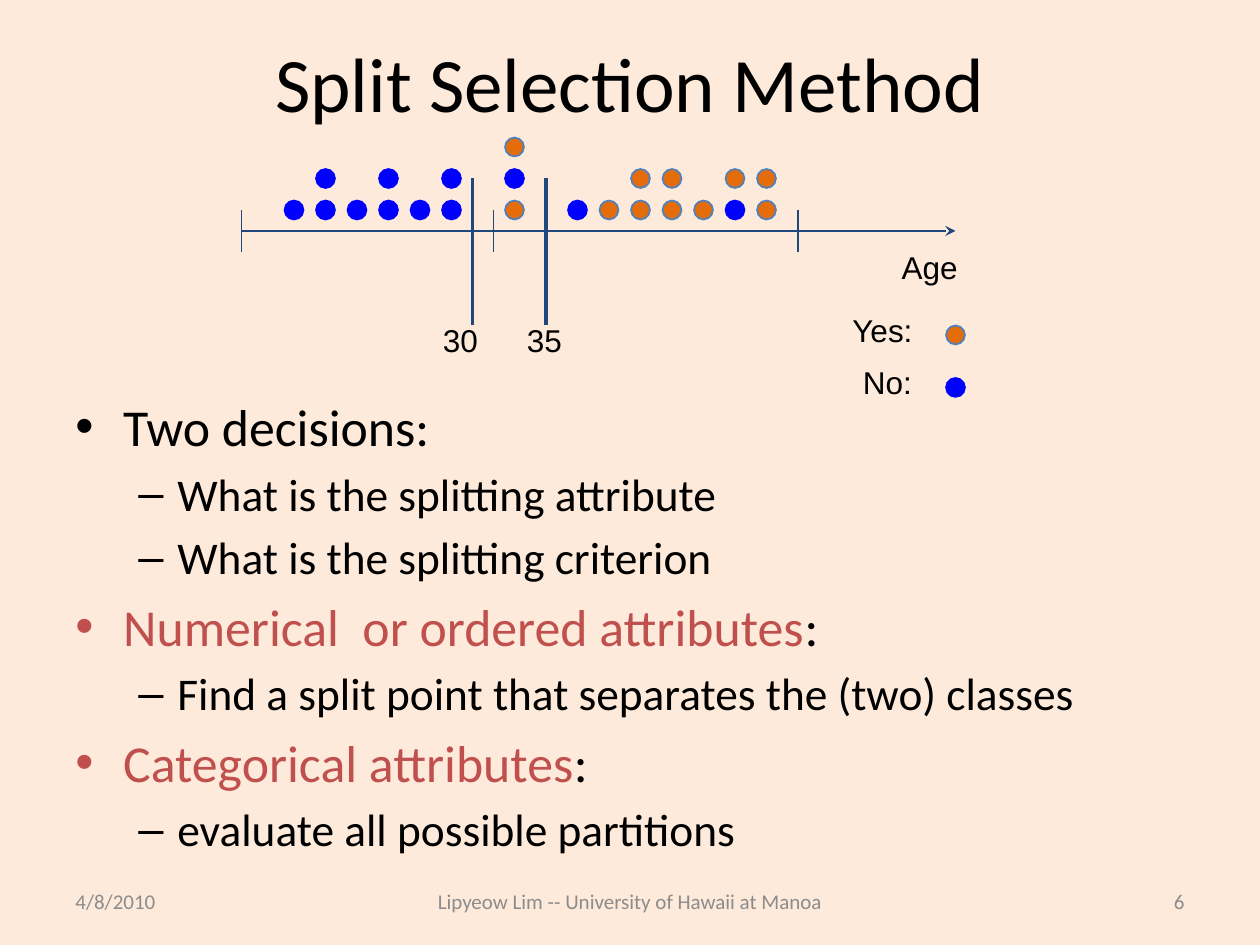
from dataclasses import dataclass

from lxml import etree
from pptx import Presentation
from pptx import util as u
from pptx.dml.color import RGBColor
from pptx.enum import shapes, text
from pptx.oxml import ns

COLUMNS, ROWS = 120, 90
LEFT, CENTER, RIGHT = text.PP_ALIGN.LEFT, text.PP_ALIGN.CENTER, text.PP_ALIGN.RIGHT


@dataclass(frozen=True)
class Theme:
    background: str = "FDEADA"
    ink: str = "000000"
    accent: str = "C0504D"
    muted: str = "8C8C8C"
    axis: str = "1F497D"
    yes_fill: str = "E46C0A"
    yes_line: str = "4F81BD"
    no: str = "0000FF"
    body_font: str = "Calibri"
    label_font: str = "Arial"
    title_size: float = 44
    topic_size: float = 29.6
    detail_size: float = 25.9
    label_size: float = 18
    footer_size: float = 12
    space_share: float = 0.2


def write_text(paragraph, content, font, size, color, align=LEFT):
    paragraph.alignment = align
    run = paragraph.add_run()
    run.text = content
    run.font.name = font
    run.font.size = u.Pt(size)
    run.font.color.rgb = RGBColor.from_string(color)


def set_bullet(paragraph, character, color, margin, indent):
    properties = paragraph._p.get_or_add_pPr()
    properties.set("marL", str(u.Inches(margin)))
    properties.set("indent", str(u.Inches(-indent)))
    bullet_color = etree.SubElement(properties, ns.qn("a:buClr"))
    etree.SubElement(bullet_color, ns.qn("a:srgbClr"), val=color)
    etree.SubElement(properties, ns.qn("a:buFont"), typeface="Arial")
    etree.SubElement(properties, ns.qn("a:buChar"), char=character)


class SlideBuilder:
    """Places elements on a grid of COLUMNS by ROWS."""

    def __init__(self, presentation, theme):
        self.theme = theme
        self.cell_width = presentation.slide_width / COLUMNS
        self.cell_height = presentation.slide_height / ROWS
        self.slide = presentation.slides.add_slide(presentation.slide_layouts[5])
        self.slide.background.fill.solid()
        self.slide.background.fill.fore_color.rgb = RGBColor.from_string(theme.background)

    def grid(self, *cells):
        """Turn alternating columns and rows into lengths."""
        return [round(cell * (self.cell_height if index % 2 else self.cell_width))
                for index, cell in enumerate(cells)]

    def title(self, content, *box):
        title = self.slide.shapes.title
        title.left, title.top, title.width, title.height = self.grid(*box)
        title.text_frame.vertical_anchor = text.MSO_ANCHOR.MIDDLE
        write_text(title.text_frame.paragraphs[0], content, font=self.theme.body_font,
                   size=self.theme.title_size, color=self.theme.ink, align=CENTER)

    def text_frame(self, *box, wrap=True, anchor=text.MSO_ANCHOR.TOP):
        frame = self.slide.shapes.add_textbox(*self.grid(*box)).text_frame
        frame.word_wrap = wrap
        frame.vertical_anchor = anchor
        return frame

    def label(self, content, *box):
        frame = self.text_frame(*box, wrap=False)
        write_text(frame.paragraphs[0], content, font=self.theme.label_font,
                   size=self.theme.label_size, color=self.theme.ink)

    def footer(self, content, column, width, align):
        frame = self.text_frame(column, 83.4, width, 4.8, anchor=text.MSO_ANCHOR.MIDDLE)
        write_text(frame.paragraphs[0], content, font=self.theme.body_font,
                   size=self.theme.footer_size, color=self.theme.muted, align=align)

    def outline(self, topics, *box):
        """Write topics, each a heading, its colour and its details."""
        theme = self.theme
        frame = self.text_frame(*box)
        paragraph = frame.paragraphs[0]
        for index, (heading, color, details) in enumerate(topics):
            if index:
                paragraph = frame.add_paragraph()
                paragraph.space_before = u.Pt(theme.space_share * theme.topic_size)
            set_bullet(paragraph, "•", color, margin=0.38, indent=0.38)
            for content, run_color in ((heading, color), (":", theme.ink)):
                write_text(paragraph, content, font=theme.body_font,
                           size=theme.topic_size, color=run_color)
            for detail in details:
                paragraph = frame.add_paragraph()
                paragraph.level = 1
                paragraph.space_before = u.Pt(theme.space_share * theme.detail_size)
                set_bullet(paragraph, "–", theme.ink, margin=0.81, indent=0.31)
                write_text(paragraph, detail, font=theme.body_font,
                           size=theme.detail_size, color=theme.ink)

    def line(self, *ends, width=1, arrow=False):
        connector = self.slide.shapes.add_connector(
            shapes.MSO_CONNECTOR.STRAIGHT, *self.grid(*ends))
        connector.line.color.rgb = RGBColor.from_string(self.theme.axis)
        connector.line.width = u.Pt(width)
        if arrow:
            etree.SubElement(connector.line._get_or_add_ln(), ns.qn("a:tailEnd"), type="stealth")
        etree.SubElement(connector._element.spPr, ns.qn("a:effectLst"))

    def dot(self, kind, column, row, size=1.8):
        """Draw a Y (yes) or N (no) record centred on a grid point."""
        theme = self.theme
        fill, line = (theme.yes_fill, theme.yes_line) if kind == "Y" else (theme.no, theme.no)
        shape = self.slide.shapes.add_shape(
            shapes.MSO_SHAPE.OVAL,
            *self.grid(column - size / 2, row - size / 2, size, size))
        shape.shadow.inherit = False
        shape.fill.solid()
        shape.fill.fore_color.rgb = RGBColor.from_string(fill)
        shape.line.color.rgb = RGBColor.from_string(line)
        shape.line.width = u.Pt(1)


def draw_age_axis(builder):
    for age, column, label_column in (("30", 45, 41), ("35", 52, 49)):
        builder.line(column, 17, column, 31, width=2)
        builder.label(age, label_column, 30, 6.4, 6)
    builder.line(23, 22, 91, 22, arrow=True)
    for column in (23, 47, 76):
        builder.line(column, 20, column, 24)
    builder.label("Age", 84.7, 23, 9.7, 6)

    # One stack per age, listed from the axis upwards
    stacks = ("N", "NN", "N", "NN", "N", "NN", "", "YNY",
              "", "N", "Y", "YY", "YY", "Y", "NY", "YY")
    for index, stack in enumerate(stacks):
        for level, kind in enumerate(stack):
            builder.dot(kind, 28 + 3 * index, 20 - 3 * level)


def draw_legend(builder):
    for content, kind, column, row in (("Yes:", "Y", 80, 29), ("No:", "N", 81, 34)):
        builder.label(content, column, row, 9, 4.8)
        builder.dot(kind, 91, row + 2.9)


def main():
    presentation = Presentation()
    presentation.slide_width, presentation.slide_height = u.Inches(10), u.Inches(7.5)
    theme = Theme()
    builder = SlideBuilder(presentation, theme)
    builder.title("Split Selection Method", 6, 3.6, 108, 8.4)
    builder.outline([
        ("Two decisions", theme.ink,
         ["What is the splitting attribute", "What is the splitting criterion"]),
        ("Numerical  or ordered attributes", theme.accent,
         ["Find a split point that separates the (two) classes"]),
        ("Categorical attributes", theme.accent, ["evaluate all possible partitions"]),
    ], 6, 37, 108, 46)
    builder.footer("4/8/2010", 6, 28, LEFT)
    builder.footer("Lipyeow Lim -- University of Hawaii at Manoa", 36, 48, CENTER)
    builder.footer("6", 86, 28, RIGHT)
    draw_age_axis(builder)
    draw_legend(builder)
    presentation.save("out.pptx")


if __name__ == "__main__":
    main()
